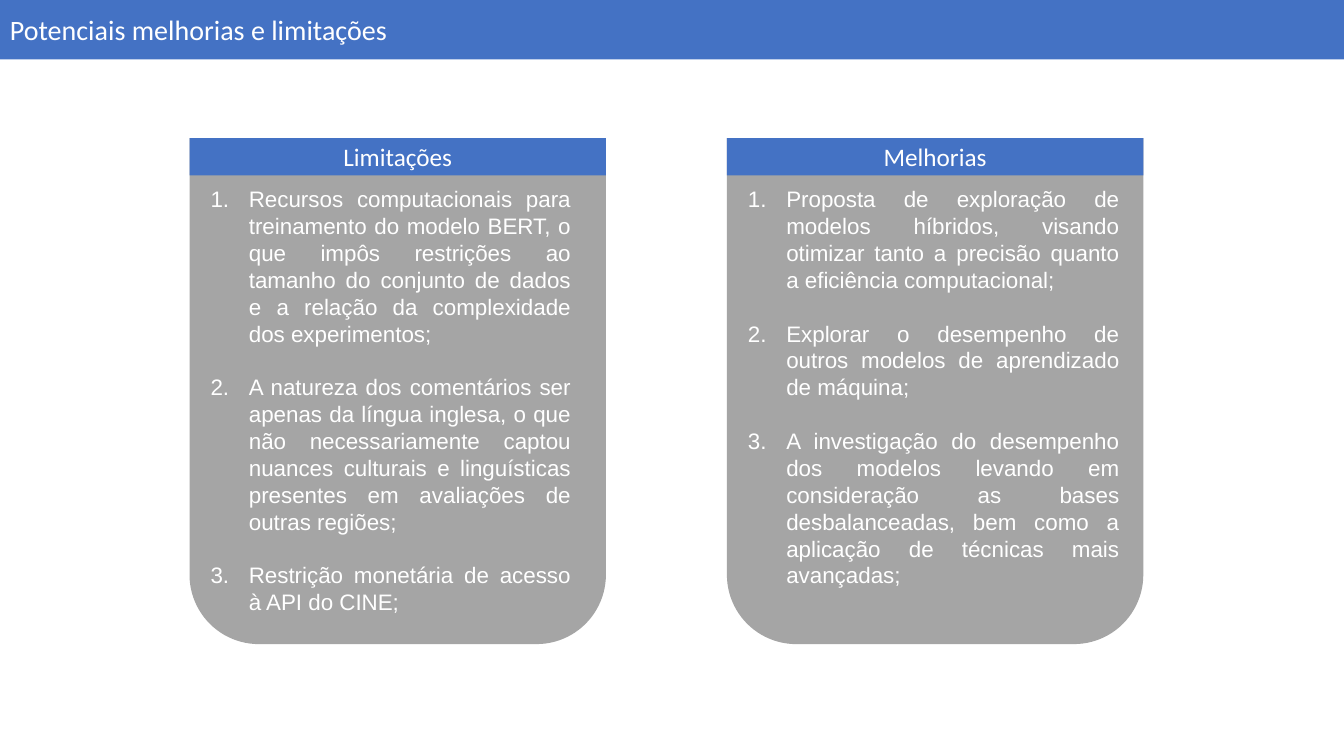
from dataclasses import dataclass

import pptx
import pptx.dml.color
import pptx.enum.shapes
import pptx.enum.text
import pptx.util
from lxml import etree
from pptx.util import Inches

SHAPE = pptx.enum.shapes.MSO_SHAPE
ALIGN = pptx.enum.text.PP_ALIGN


@dataclass(frozen=True)
class Theme:
    blue: str = "4472C4"
    grey: str = "A5A5A5"
    white: str = "FFFFFF"
    heading_font: str = "Calibri"
    body_font: str = "Arial"
    title_size: float = 20
    header_size: float = 18
    body_size: float = 16
    body_line: float = 19.2


THEME = Theme()
CARD_TOP, CARD_WIDTH, CARD_HEIGHT = 1.37, 4.13, 5.02
HEADER_HEIGHT = 0.37

# Card left edge, header, list width, list height, items
CARDS = [
    (1.88, "Limitações", 3.77, 4.41, [
        "Recursos computacionais para treinamento do modelo BERT, o que impôs "
        "restrições ao tamanho do conjunto de dados e a relação da complexidade "
        "dos experimentos;",
        "A natureza dos comentários ser apenas da língua inglesa, o que não "
        "necessariamente captou nuances culturais e linguísticas presentes em "
        "avaliações de outras regiões;",
        "Restrição monetária de acesso à API do CINE;",
    ]),
    (7.21, "Melhorias", 3.88, 4.14, [
        "Proposta de exploração de modelos híbridos, visando otimizar tanto a "
        "precisão quanto a eficiência computacional;",
        "Explorar o desempenho de outros modelos de aprendizado de máquina;",
        "A investigação do desempenho dos modelos levando em consideração as "
        "bases desbalanceadas, bem como a aplicação de técnicas mais avançadas;",
    ]),
]


def style_font(font, name, size):
    font.name = name
    font.size = pptx.util.Pt(size)
    font.color.rgb = pptx.dml.color.RGBColor.from_string(THEME.white)


def add_block(s, kind, left, top, width, height, color):
    sp = s.shapes.add_shape(
        kind, Inches(left), Inches(top), Inches(width), Inches(height))
    sp.shadow.inherit = False
    sp.fill.solid()
    sp.fill.fore_color.rgb = pptx.dml.color.RGBColor.from_string(color)
    sp.line.fill.background()
    return sp


def add_bar(s, text, left, top, width, height, size, align):
    """Add a blue rectangle with a one-line heading."""
    sp = add_block(s, SHAPE.RECTANGLE, left, top, width, height, THEME.blue)
    tf = sp.text_frame
    tf.vertical_anchor = pptx.enum.text.MSO_ANCHOR.MIDDLE
    p = tf.paragraphs[0]
    p.text = text
    p.alignment = align
    style_font(p.runs[0].font, THEME.heading_font, size)


def number_paragraph(p):
    """Give a paragraph automatic numbering with a hanging indent."""
    pPr = p._p.get_or_add_pPr()
    pPr.set("marL", str(Inches(0.38)))
    pPr.set("indent", str(Inches(-0.38)))
    etree.SubElement(pPr, pptx.oxml.ns.qn("a:buFont"), typeface="+mj-lt")
    etree.SubElement(pPr, pptx.oxml.ns.qn("a:buAutoNum"), type="arabicPeriod")


def add_numbered_list(s, items, left, top, width, height):
    box = s.shapes.add_textbox(
        Inches(left), Inches(top), Inches(width), Inches(height))
    tf = box.text_frame
    tf.word_wrap = True
    for i, item in enumerate(items):
        p = tf.add_paragraph() if i else tf.paragraphs[0]
        p.text = item
        number_paragraph(p)
        p.alignment = ALIGN.JUSTIFY
        p.line_spacing = pptx.util.Pt(THEME.body_line)
        if i:
            p.space_before = pptx.util.Pt(THEME.body_line)
        style_font(p.runs[0].font, THEME.body_font, THEME.body_size)


def add_card(s, left, header, list_width, list_height, items):
    panel = add_block(s, SHAPE.ROUND_2_SAME_RECTANGLE, left, CARD_TOP,
                      CARD_WIDTH, CARD_HEIGHT, THEME.grey)
    panel.adjustments[0] = 0
    panel.adjustments[1] = 0.16667
    add_bar(s, header, left, CARD_TOP, CARD_WIDTH, HEADER_HEIGHT,
            THEME.header_size, ALIGN.CENTER)
    add_numbered_list(s, items, left + 0.11, CARD_TOP + 0.42,
                      list_width, list_height)


def main():
    prs = pptx.Presentation()
    prs.slide_width = Inches(13.33)
    prs.slide_height = Inches(7.5)
    s = prs.slides.add_slide(prs.slide_layouts[6])
    add_bar(s, "Potenciais melhorias e limitações", 0, 0, 13.33, 0.59,
            THEME.title_size, ALIGN.LEFT)
    for card in CARDS:
        add_card(s, *card)
    prs.save("out.pptx")


if __name__ == "__main__":
    main()
